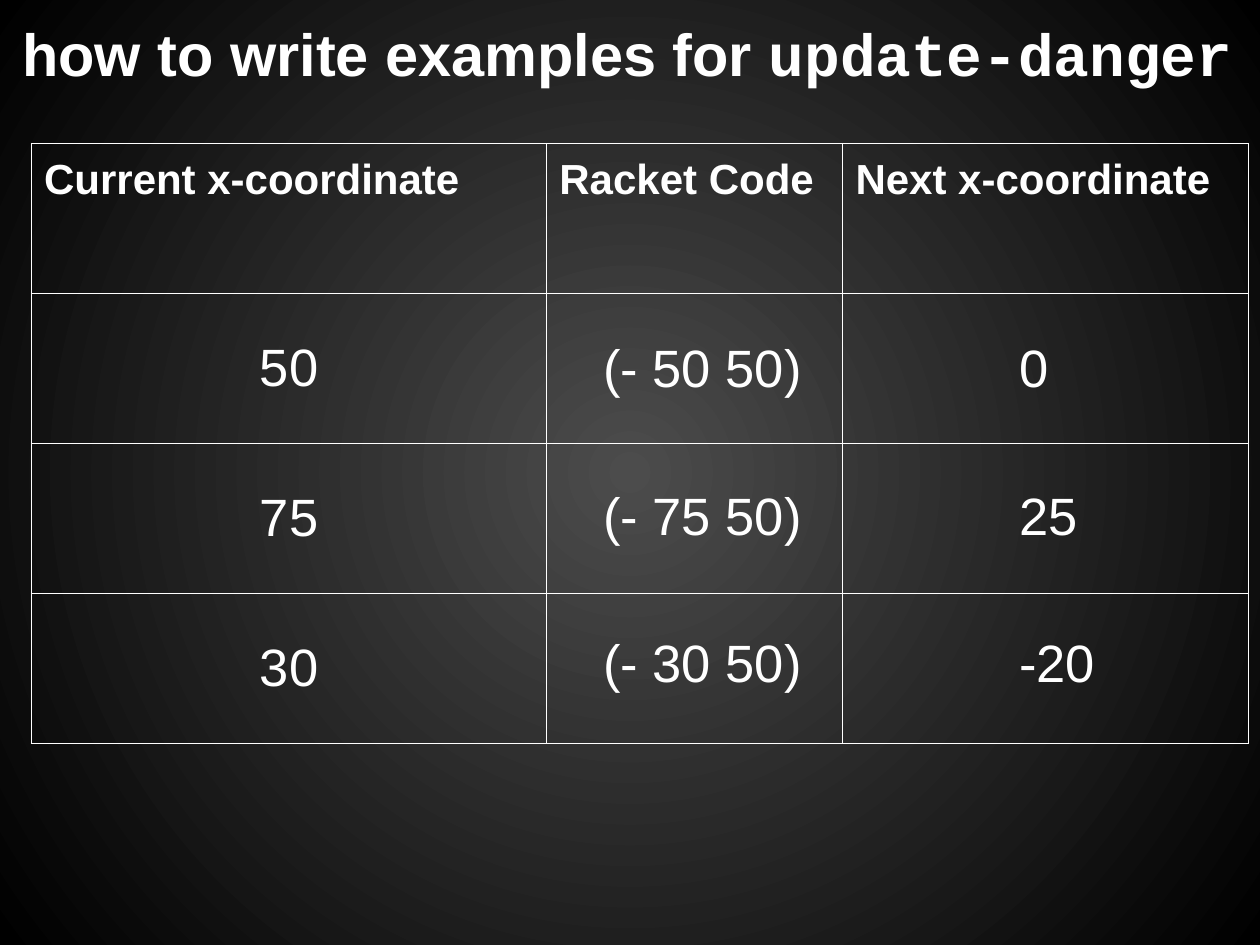
from lxml import etree
from pptx import Presentation
from pptx import util as u
from pptx.dml.color import RGBColor
from pptx.enum import text
from pptx.oxml.ns import qn

COLORS = {"text": "FFFFFF", "border": "FFFFFF", "center": "4C4C4C", "edge": "000000"}
HEADERS = ["Current x-coordinate", "Racket Code", "Next x-coordinate"]
EXAMPLES = [("50", "(- 50 50)", "0"), ("75", "(- 75 50)", "25"), ("30", "(- 30 50)", "-20")]
COLUMN_WIDTHS = [4.09, 2.35, 3.22]
ROW_HEIGHT = 1.19


def set_background(slide):
    fill = slide.background.fill
    fill.gradient()
    for stop, name, position in zip(fill.gradient_stops, ("center", "edge"), (0, 1)):
        stop.color.rgb = RGBColor.from_string(COLORS[name])
        stop.position = position
    gradient = slide._element.find(".//" + qn("a:gradFill"))
    linear = gradient.find(qn("a:lin"))
    circle = etree.Element(qn("a:path"), path="circle")
    etree.SubElement(circle, qn("a:fillToRect"), l="50000", t="50000", r="50000", b="50000")
    gradient.replace(linear, circle)


def set_margins(target):
    for side in ("left", "top", "right", "bottom"):
        setattr(target, f"margin_{side}", u.Inches(0.1))


def add_run(paragraph, content, size, bold=False, font="Arial"):
    run = paragraph.add_run()
    run.text = content
    run.font.size = u.Pt(size)
    run.font.bold = bold
    run.font.name = font
    run.font.color.rgb = RGBColor.from_string(COLORS["text"])


def add_text_box(slide, left, top, width, height, anchor=text.MSO_ANCHOR.TOP):
    shape = slide.shapes.add_textbox(*map(u.Inches, (left, top, width, height)))
    frame = shape.text_frame
    frame.word_wrap = True
    frame.vertical_anchor = anchor
    set_margins(frame)
    return frame.paragraphs[0]


def style_cell(cell):
    cell.fill.background()
    set_margins(cell)
    properties = cell._tc.get_or_add_tcPr()
    for index, side in enumerate("LRTB"):
        line = etree.Element(qn(f"a:ln{side}"), w=str(u.Pt(0.75)))
        solid = etree.SubElement(line, qn("a:solidFill"))
        etree.SubElement(solid, qn("a:srgbClr"), val=COLORS["border"])
        properties.insert(index, line)


def add_coordinate_table(slide):
    row_count = len(EXAMPLES) + 1
    frame = slide.shapes.add_table(
        row_count, len(HEADERS), u.Inches(0.25), u.Inches(1.14),
        u.Inches(sum(COLUMN_WIDTHS)), u.Inches(ROW_HEIGHT * row_count))
    table = frame.table
    table.first_row = table.horz_banding = False
    for column, width in zip(table.columns, COLUMN_WIDTHS):
        column.width = u.Inches(width)
    for row in table.rows:
        row.height = u.Inches(ROW_HEIGHT)
    for cell in table.iter_cells():
        style_cell(cell)
    for column, header in enumerate(HEADERS):
        add_run(table.cell(0, column).text_frame.paragraphs[0], header, 24, bold=True)
    for row, (current, _, _) in enumerate(EXAMPLES, start=1):
        cell = table.cell(row, 0)
        cell.vertical_anchor = text.MSO_ANCHOR.MIDDLE
        paragraph = cell.text_frame.paragraphs[0]
        paragraph.alignment = text.PP_ALIGN.CENTER
        add_run(paragraph, current, 30)


def add_answers(slide):
    for index, (_, code, result) in enumerate(EXAMPLES):
        top = 2.56 + 1.17 * index
        add_run(add_text_box(slide, 4.69, top, 1.8, 0.78), code, 30)
        add_run(add_text_box(slide, 7.99, top, 0.94, 0.78), result, 30)


def add_title(slide):
    paragraph = add_text_box(slide, 0.08, 0.14, 9.9, 0.66, text.MSO_ANCHOR.BOTTOM)
    add_run(paragraph, "how to write examples for ", 34, bold=True)
    add_run(paragraph, "update-danger", 34, bold=True, font="Courier New")


def main():
    presentation = Presentation()
    presentation.slide_width = u.Inches(10)
    presentation.slide_height = u.Inches(7.5)
    slide = presentation.slides.add_slide(presentation.slide_layouts[6])
    set_background(slide)
    add_coordinate_table(slide)
    add_answers(slide)
    add_title(slide)
    presentation.save("out.pptx")


if __name__ == "__main__":
    main()
